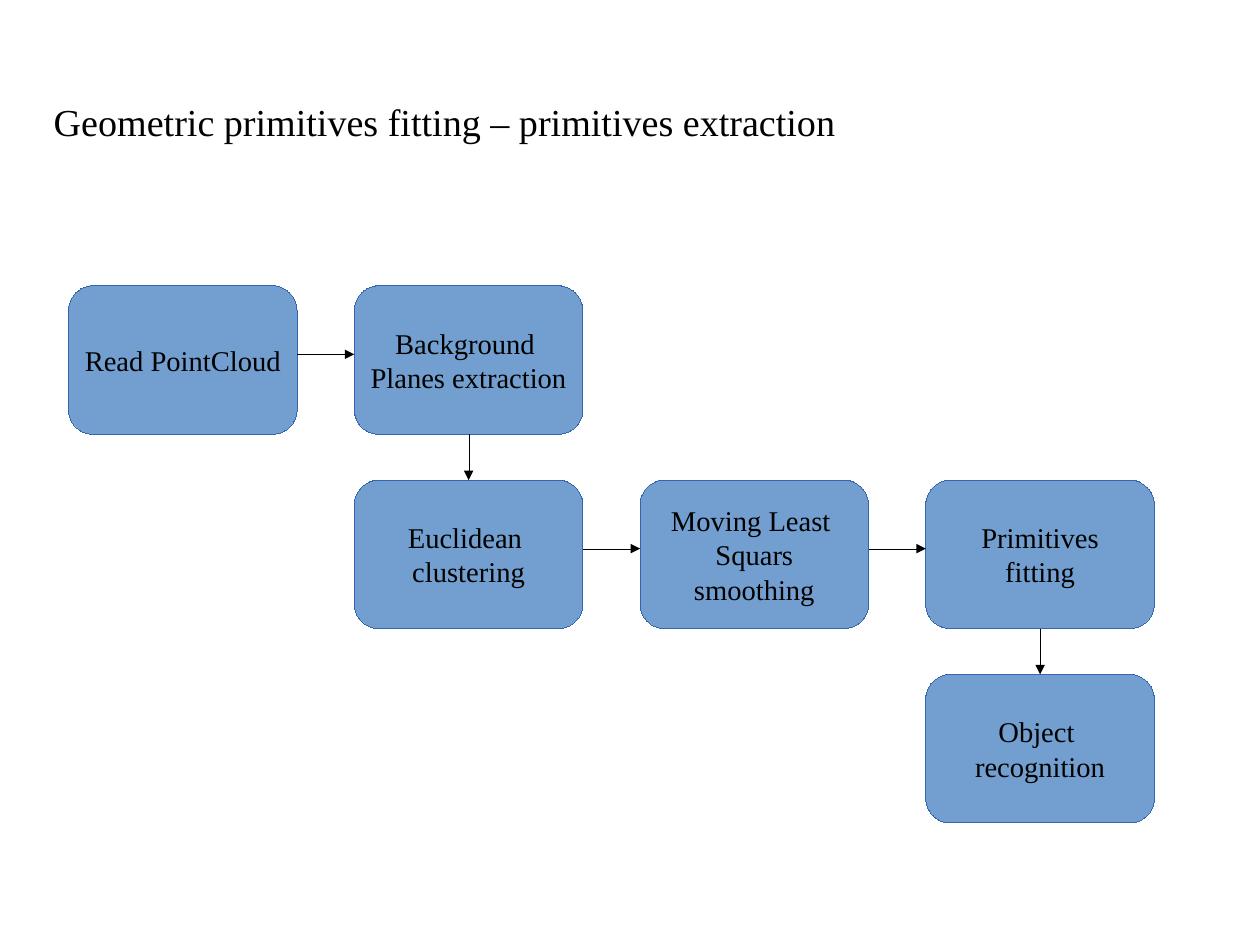
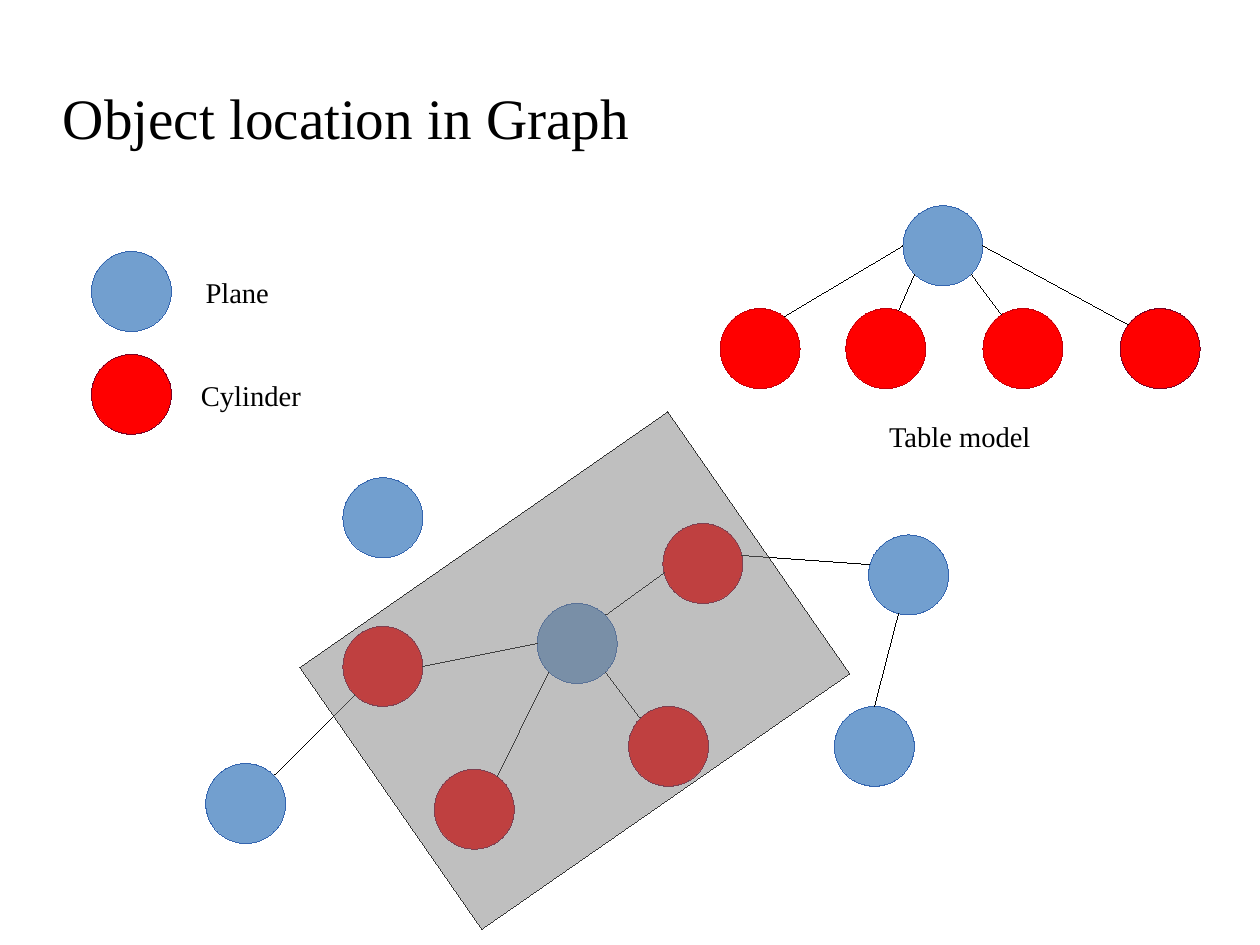
from lxml.etree import SubElement
from pptx import Presentation
from pptx.dml.color import RGBColor
from pptx.enum.shapes import MSO_CONNECTOR, MSO_SHAPE
from pptx.enum.text import MSO_ANCHOR, MSO_AUTO_SIZE, PP_ALIGN
from pptx.oxml.ns import qn
from pptx.util import Cm, Pt

PX = 9144  # 100 px to the inch
FONT = "Times New Roman"
COLORS = {
    "text": "000000",
    "edge": "000000",
    "plane": "729FCF",
    "plane_line": "3465AF",
    "cylinder": "FF0000",
    "cylinder_line": "7E0021",
    "model_line": "C5000B",
    "region": "808080",
    "region_line": "333333",
}


def write(sp, text, size, align, anchor, margins=(10, 5)):
    """Put text in a shape, one paragraph a line, in the deck's font."""
    tf = sp.text_frame
    tf.text = text
    tf.auto_size = MSO_AUTO_SIZE.NONE
    tf.vertical_anchor = anchor
    tf.margin_left = tf.margin_right = margins[0] * PX
    tf.margin_top = tf.margin_bottom = margins[1] * PX
    for p in tf.paragraphs:
        p.alignment = align
        for r in p.runs:
            r.font.name = FONT
            r.font.size = Pt(size)
            r.font.color.rgb = RGBColor.from_string(COLORS["text"])


def paint(sp, line, fill=None):
    """Give a hairline, no shadow and, for a shape, a solid fill."""
    if fill:
        sp.shadow.inherit = False
        sp.fill.solid()
        sp.fill.fore_color.rgb = RGBColor.from_string(COLORS[fill])
    else:
        SubElement(sp._element.spPr, qn("a:effectLst"))
    sp.line.color.rgb = RGBColor.from_string(COLORS[line])
    # line.width = 0 would drop the attribute and fall back to the theme
    sp.line._get_or_add_ln().set("w", "0")


prs = Presentation()
prs.slide_width, prs.slide_height = Cm(28), Cm(21)

# Shape: preset, left, top, width, height, fill, line, text
BOX_W, BOX_H = 200, 130
COL_STEP, ROW_STEP = 250, 170
steps = [
    (0, 0, "Read PointCloud"),
    (1, 0, "Background \nPlanes extraction"),
    (1, 1, "Euclidean \nclustering"),
    (2, 1, "Moving Least \nSquars\nsmoothing"),
    (3, 1, "Primitives\nfitting"),
    (3, 2, "Object \nrecognition"),
]
boxes = [
    (MSO_SHAPE.FLOWCHART_ALTERNATE_PROCESS, 60 + col * COL_STEP,
     250 + row * ROW_STEP, BOX_W, BOX_H, "plane", "plane_line", text)
    for col, row, text in steps
]
arrows = []
for (_, x1, y1, *_), (_, x2, y2, *_) in zip(boxes, boxes[1:]):
    if y1 == y2:
        arrows.append((x1 + BOX_W, y1 + 60, x2, y2 + 60))
    else:
        arrows.append((x1 + BOX_W // 2, y1 + BOX_H, x2 + BOX_W // 2, y2))

NODE = 70
nodes = {
    ("plane", "plane_line"): [
        (80, 220), (760, 468), (300, 418), (730, 618), (180, 668),
        (470, 528), (790, 180)],
    ("cylinder", "cylinder_line"): [
        (80, 310), (300, 548), (580, 458), (550, 618), (380, 673), (980, 270)],
    ("cylinder", "model_line"): [(630, 270), (740, 270), (860, 270)],
}
circles = [
    (MSO_SHAPE.OVAL, x, y, NODE, NODE, fill, line, "")
    for (fill, line), places in nodes.items() for x, y in places
]
scene_edges = [
    (435, 679, 480, 588), (530, 588, 560, 628), (310, 608, 240, 678),
    (370, 583, 470, 563), (581, 501, 530, 538), (649, 486, 761, 494),
    (786, 537, 765, 618),
]
model_edges = [
    (790, 215, 686, 277), (800, 240, 786, 272),
    (850, 240, 876, 275), (860, 215, 987, 284),
]
labels = [
    ("Plane", 170, 236, 160, 48),
    ("Cylinder", 166, 326, 130, 38),
    ("Table model", 768, 362, 210, 38),
]

# Page: title, its size and place, shapes, labels, edges, arrowheads
pages = [
    ("Geometric primitives fitting – primitives extraction", 24,
     (47, 71, 772, 71), boxes, [], arrows, True),
    ("Object location in Graph", 36,
     (55, 33, 992, 138), circles, labels, scene_edges + model_edges, False),
]

for title, size, place, shapes, captions, edges, arrowheads in pages:
    slide = prs.slides.add_slide(prs.slide_layouts[5])
    sp = slide.shapes.title
    sp.left, sp.top, sp.width, sp.height = [v * PX for v in place]
    write(sp, title, size, PP_ALIGN.LEFT, MSO_ANCHOR.MIDDLE, (0, 0))

    for preset, x, y, w, h, fill, line, text in shapes:
        sp = slide.shapes.add_shape(preset, x * PX, y * PX, w * PX, h * PX)
        paint(sp, line, fill)
        if text:
            write(sp, text, 18, PP_ALIGN.CENTER, MSO_ANCHOR.MIDDLE)
            sp.text_frame.word_wrap = False

    for text, *place in captions:
        sp = slide.shapes.add_textbox(*[v * PX for v in place])
        write(sp, text, 18, PP_ALIGN.LEFT, MSO_ANCHOR.TOP)
        sp.text_frame.word_wrap = True

    for ends in edges:
        edge = slide.shapes.add_connector(
            MSO_CONNECTOR.STRAIGHT, *[v * PX for v in ends])
        paint(edge, "edge")
        if arrowheads:
            SubElement(edge.line._get_or_add_ln(), qn("a:tailEnd"), type="triangle")

# Translucent region over the matched object on the last slide
region = slide.shapes.add_shape(
    MSO_SHAPE.RECTANGLE, 307 * PX, 447 * PX, 392 * PX, 279 * PX)
region.rotation = 325.2
paint(region, "region_line", "region")
color = region._element.spPr.find(qn("a:solidFill"))[0]
SubElement(color, qn("a:alpha"), val="50000")

prs.save("out.pptx")
